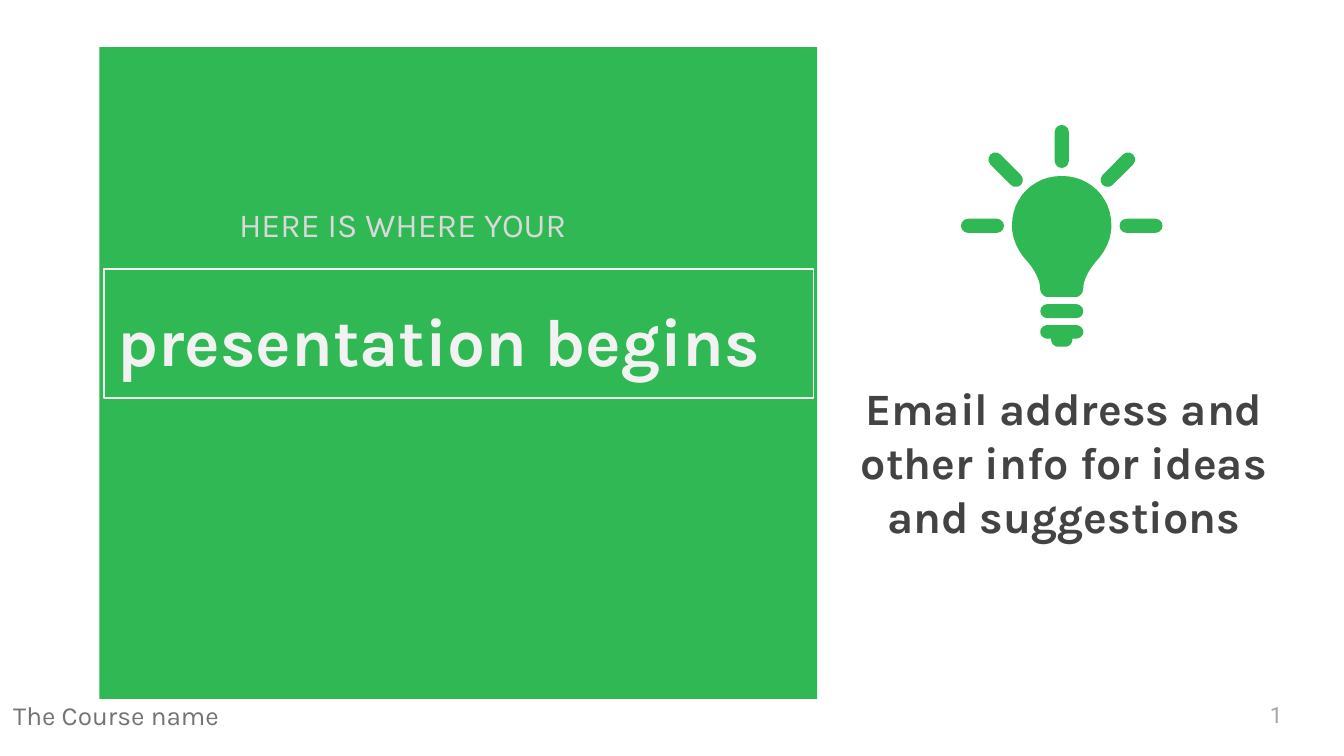
import math

from pptx import Presentation
from pptx.dml.color import RGBColor
from pptx.enum.shapes import MSO_SHAPE
from pptx.enum.text import MSO_ANCHOR, PP_ALIGN
from pptx.util import Inches, Pt

RECT, ROUNDED = MSO_SHAPE.RECTANGLE, MSO_SHAPE.ROUNDED_RECTANGLE
TOP, MIDDLE = MSO_ANCHOR.TOP, MSO_ANCHOR.MIDDLE
LEFT, CENTER = PP_ALIGN.LEFT, PP_ALIGN.CENTER

GREEN = RGBColor(0x30, 0xB8, 0x54)
OFF_WHITE = RGBColor(0xF2, 0xF2, 0xF2)
PALE_GREY = RGBColor(0xD9, 0xD9, 0xD9)
MID_GREY = RGBColor(0xA6, 0xA6, 0xA6)
GREY = RGBColor(0x73, 0x73, 0x73)
DARK_GREY = RGBColor(0x43, 0x43, 0x43)

# A 16:9 slide
WIDTH = Inches(10)
HEIGHT = WIDTH * 9 // 16

# The icon's grid is centred on the bulb, in hundredths of an inch
ICON_X, ICON_Y, UNIT = Inches(7.9), Inches(1.68), Inches(0.01)
RAY_LENGTH, RAY_THICKNESS, RAY_RADIUS = 32, 10.5, 59

# Right halves of the outlines: a point, or a curve of three points
BULB_HALF = [
    [(0, -37)],
    [(21, -37), (37, -21), (37, 0)],
    [(37, 9), (33, 18), (27, 25)],
    [(24, 28), (16, 38), (16, 47)],
    [(16, 50), (13, 53), (11, 53)],
]
CAP_HALF = [
    [(0, 74)],
    [(11, 74)],
    [(13, 74), (16, 76), (16, 79)],
    [(16, 82), (13, 84), (11, 84)],
    [(8, 84)],
    [(8, 88), (5, 90), (3, 90)],
]


def share(left, top, width, height):
    """Turn percentages of the slide's size into lengths."""
    return [round(size * pct / 100) for size, pct in
            zip((WIDTH, HEIGHT, WIDTH, HEIGHT), (left, top, width, height))]


def paint(sp, color):
    sp.shadow.inherit = False
    sp.fill.solid()
    sp.fill.fore_color.rgb = color
    sp.line.fill.background()


def add_text(s, box, text, size, color, font="Karla", bold=False,
             align=LEFT, anchor=TOP, spacing=None):
    sp = s.shapes.add_textbox(*share(*box))
    tf = sp.text_frame
    tf.word_wrap = True
    tf.vertical_anchor = anchor
    if anchor == MIDDLE:
        tf.margin_top = tf.margin_bottom = Inches(0.1)
    p = tf.paragraphs[0]
    p.text = text
    p.alignment = align
    p.line_spacing = spacing
    p.font.name, p.font.size, p.font.bold = font, Pt(size), bold
    p.font.color.rgb = color
    return sp


def add_bar(s, x, y, angle=0):
    """Add a round-ended bar centred on a point of the icon's grid."""
    sp = s.shapes.add_shape(
        ROUNDED,
        round(ICON_X + (x - RAY_LENGTH / 2) * UNIT),
        round(ICON_Y + (y - RAY_THICKNESS / 2) * UNIT),
        round(RAY_LENGTH * UNIT), round(RAY_THICKNESS * UNIT))
    sp.adjustments[0] = 0.5
    sp.rotation = angle
    paint(sp, GREEN)


def trace(segments, steps=12):
    """Turn points and cubic curves into a list of points."""
    points = list(segments[0])
    for segment in segments[1:]:
        if len(segment) == 1:
            points += segment
            continue
        curve = [points[-1], *segment]
        for i in range(1, steps + 1):
            t = i / steps
            weights = ((1 - t) ** 3, 3 * t * (1 - t) ** 2,
                       3 * t * t * (1 - t), t ** 3)
            points.append(tuple(sum(w * pt[axis] for w, pt in zip(weights, curve))
                                for axis in (0, 1)))
    return points


def add_symmetric(s, half):
    """Add an outline made of a right half and its mirror image."""
    right = trace(half)
    points = right + [(-x, y) for x, y in reversed(right)]
    points = [(ICON_X + x * UNIT, ICON_Y + y * UNIT) for x, y in points]
    builder = s.shapes.build_freeform(*points[0])
    builder.add_line_segments(points[1:], close=True)
    paint(builder.convert_to_shape(), GREEN)


def add_light_bulb(s):
    for angle in range(180, 361, 45):
        a = math.radians(angle)
        add_bar(s, RAY_RADIUS * math.cos(a), RAY_RADIUS * math.sin(a), angle % 180)
    add_symmetric(s, BULB_HALF)
    add_bar(s, 0, 63.5)
    add_symmetric(s, CAP_HALF)


def main():
    prs = Presentation()
    prs.slide_width, prs.slide_height = WIDTH, HEIGHT
    s = prs.slides.add_slide(prs.slide_layouts[6])

    # Footer and green panel
    add_text(s, (0, 91.6, 25.5, 6.05), "The Course name", 14, GREY)
    panel = s.shapes.add_shape(RECT, *share(7.4, 6.22, 53.4, 86.22))
    paint(panel, GREEN)

    # Title in its frame, with the line above it
    title = add_text(s, (7.74, 35.6, 52.8, 17.07), "presentation begins", 36,
                     OFF_WHITE, bold=True, anchor=MIDDLE, spacing=1.15)
    title.line.color.rgb = OFF_WHITE
    title.line.width = Pt(0.75)
    add_text(s, (16.8, 22.8, 43.8, 12.8), "HERE IS WHERE YOUR", 18,
             PALE_GREY, anchor=MIDDLE, spacing=1.15)

    # Icon and contact text
    add_light_bulb(s)
    add_text(s, (60.6, 49.5, 37.1, 23.3),
             "Email address and other info for ideas and suggestions", 24,
             DARK_GREY, bold=True, align=CENTER)

    # Slide number
    add_text(s, (93.5, 90.7, 6, 7.7), "1", 12, MID_GREY, font="Roboto",
             anchor=MIDDLE)

    prs.save("out.pptx")


if __name__ == "__main__":
    main()
